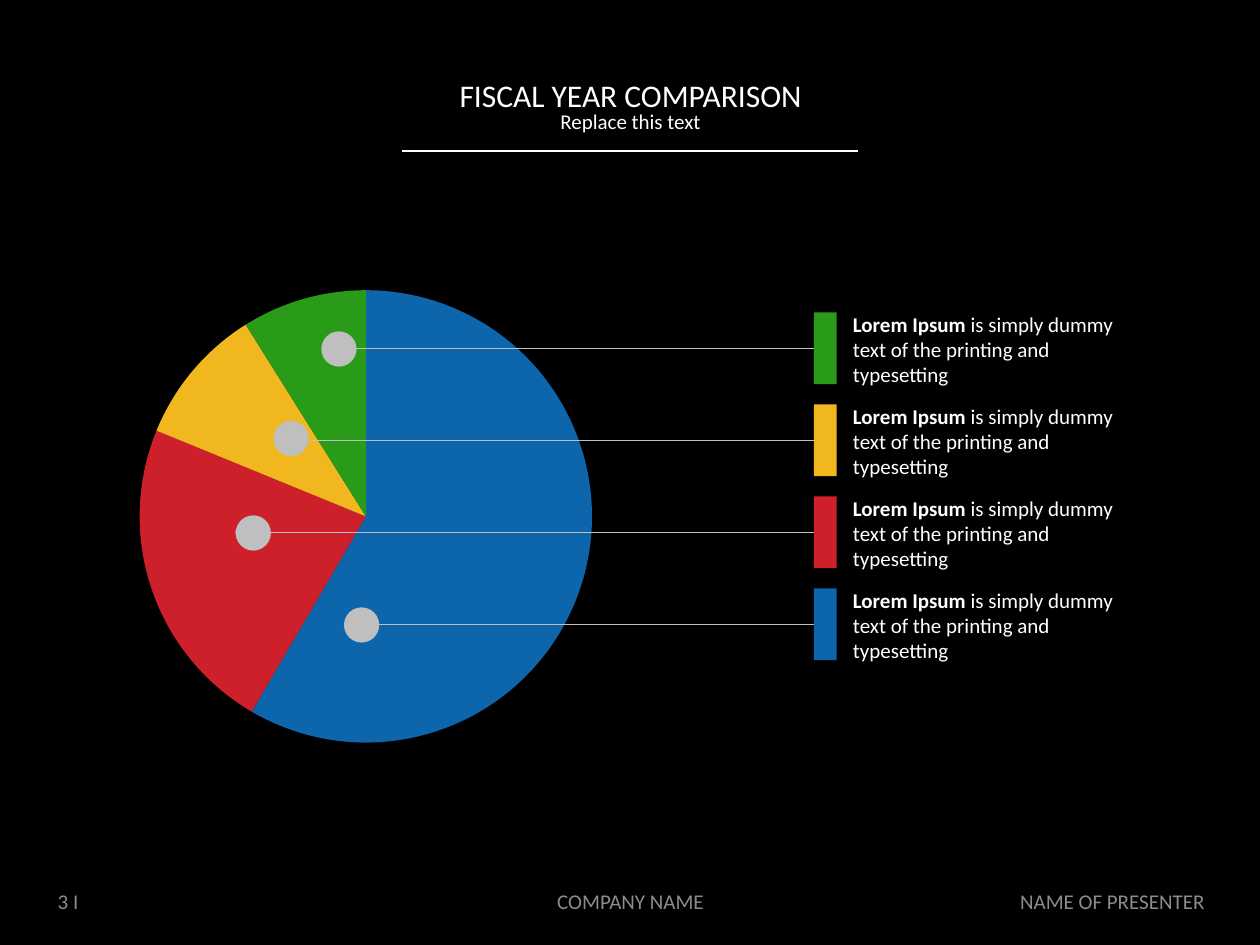
from lxml import etree
from pptx import Presentation
from pptx.chart.data import CategoryChartData
from pptx.dml.color import RGBColor
from pptx.enum.chart import XL_CHART_TYPE as ChartType
from pptx.enum.shapes import MSO_CONNECTOR as Connector, MSO_SHAPE as Shape
from pptx.enum.text import MSO_ANCHOR as Anchor, PP_ALIGN as Align
from pptx.oxml import parse_xml
from pptx.oxml.ns import nsdecls, qn
from pptx.util import Inches, Pt

# Content
TITLE, SUBTITLE = "FISCAL YEAR COMPARISON", "Replace this text"
LEAD, BODY = "Lorem Ipsum", " is simply dummy text of the printing and typesetting"
SLICES = [("1", 59, "0D65AC"), ("2", 23, "CE202A"), ("3", 10, "F0B71F"), ("4", 9, "2A9B18")]
# Legend rows, top to bottom: colour, line start, marker left, marker top
ROWS = [
    ("2A9B18", 2.71, 2.55, 2.63),
    ("F0B71F", 2.33, 2.17, 3.34),
    ("CE202A", 1.91, 1.87, 4.09),
    ("0D65AC", 2.87, 2.73, 4.82),
]
# Footer: text, left, width, alignment
FOOTER = [
    ("3 I", 0.36, 2.33, Align.LEFT),
    ("COMPANY NAME", 3.42, 3.17, Align.CENTER),
    ("NAME OF PRESENTER", 7.33, 2.33, Align.RIGHT),
]
FONT, WHITE, SILVER, GRAY = "Calibri", "FFFFFF", "BFBFBF", "8C8C8C"
ROW_TOP, ROW_STEP = 2.42, 0.73
BAR_LEFT, BAR_WIDTH, BAR_HEIGHT = 6.46, 0.18, 0.57
MARKER = 0.28


def rgb(value):
    return RGBColor.from_string(value)


def style(font, size, color, bold=False):
    font.name, font.size, font.bold = FONT, Pt(size), bold
    font.color.rgb = rgb(color)


def add_text_frame(left, top, width, height):
    box = slide.shapes.add_textbox(*map(Inches, (left, top, width, height)))
    box.text_frame.word_wrap = True
    return box.text_frame


def add_filled(kind, left, top, width, height, color):
    shape = slide.shapes.add_shape(kind, *map(Inches, (left, top, width, height)))
    shape.shadow.inherit = False
    shape.fill.solid()
    shape.fill.fore_color.rgb = rgb(color)
    shape.line.fill.background()
    return shape


def add_line(start, end, y, color, width):
    line = slide.shapes.add_connector(
        Connector.STRAIGHT, Inches(start), Inches(y), Inches(end), Inches(y))
    line.line.color.rgb = rgb(color)
    line.line.width = Pt(width)
    etree.SubElement(line._element.spPr, qn("a:effectLst"))
    return line


presentation = Presentation()
presentation.slide_width, presentation.slide_height = Inches(10), Inches(7.5)
slide = presentation.slides.add_slide(presentation.slide_layouts[6])
slide.background.fill.solid()
slide.background.fill.fore_color.rgb = rgb("000000")

# Heading
frame = add_text_frame(3.4, 0.61, 3.21, 0.5)
frame.text = f"{TITLE}\n{SUBTITLE}"
for paragraph, size in zip(frame.paragraphs, (18, 12)):
    paragraph.alignment = Align.CENTER
    paragraph.line_spacing = 0.8
    style(paragraph.runs[0].font, size, WHITE)
add_line(3.19, 6.81, 1.2, WHITE, 1)

# Pie chart
data = CategoryChartData()
data.categories = [name for name, _, _ in SLICES]
data.add_series("Series 1", [value for _, value, _ in SLICES])
chart = slide.shapes.add_chart(
    ChartType.PIE, Inches(0), Inches(2.17), Inches(5.89), Inches(3.92), data).chart
chart.has_legend = chart.has_title = False
style(chart.font, 10, "000000")
plot = chart.plots[0]
plot.vary_by_categories = True
for index, (_, _, color) in enumerate(SLICES):
    fill = plot.series[0].points[index].format.fill
    fill.solid()
    fill.fore_color.rgb = rgb(color)
plot_area = chart._chartSpace.chart.plotArea
for layout in plot_area.findall(qn("c:layout")):
    plot_area.remove(layout)
plot_area.insert(0, parse_xml(
    f'<c:layout {nsdecls("c")}><c:manualLayout><c:layoutTarget val="inner"/>'
    '<c:xMode val="edge"/><c:yMode val="edge"/><c:x val="0.023"/><c:y val="0.034"/>'
    '<c:w val="0.94"/><c:h val="0.916"/></c:manualLayout></c:layout>'))

# Legend rows with leader lines and markers
for index, (color, start, marker_left, marker_top) in enumerate(ROWS):
    top = ROW_TOP + index * ROW_STEP
    bar_top = top + 0.06
    bar = add_filled(Shape.RECTANGLE, BAR_LEFT, bar_top, BAR_WIDTH, BAR_HEIGHT, color)
    leader = add_line(start, BAR_LEFT, bar_top + BAR_HEIGHT / 2, SILVER, 0.75)
    leader.end_connect(bar, 1)
    etree.SubElement(leader.line._get_or_add_ln(), qn("a:headEnd"), type="oval")
    add_filled(Shape.OVAL, marker_left, marker_top, MARKER, MARKER, SILVER)

    frame = add_text_frame(6.77, top, 2.23, 0.71)
    frame.margin_left = frame.margin_right = 0
    paragraph = frame.paragraphs[0]
    paragraph.space_after = Pt(6)
    for text, bold in ((LEAD, True), (BODY, False)):
        run = paragraph.add_run()
        run.text = text
        style(run.font, 12, WHITE, bold)

# Footer
for text, left, width, alignment in FOOTER:
    frame = add_text_frame(left, 6.95, width, 0.4)
    frame.vertical_anchor = Anchor.MIDDLE
    frame.text = text
    frame.paragraphs[0].alignment = alignment
    style(frame.paragraphs[0].runs[0].font, 12, GRAY)

presentation.save("out.pptx")
